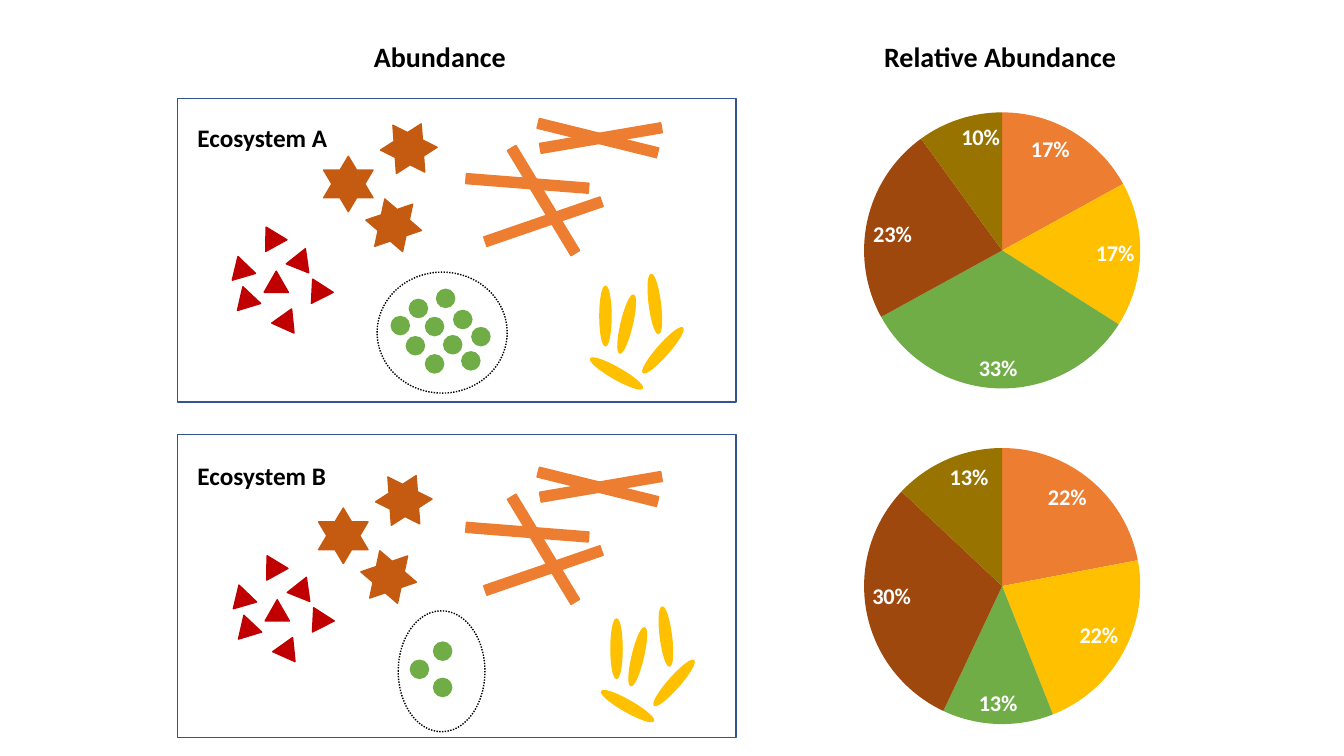
from lxml import etree
from pptx import Presentation
from pptx.chart import data
from pptx.dml.color import RGBColor
from pptx.enum import chart as charts, dml, shapes, text
from pptx.util import Inches, Pt

FONT = "Calibri"
BLACK = RGBColor(0x00, 0x00, 0x00)
WHITE = RGBColor(0xFF, 0xFF, 0xFF)
FRAME_BLUE = RGBColor(0x32, 0x54, 0x91)
ORANGE = RGBColor(0xED, 0x7D, 0x31)
GOLD = RGBColor(0xFF, 0xC0, 0x00)
GREEN = RGBColor(0x70, 0xAD, 0x47)
RED = RGBColor(0xC0, 0x00, 0x00)
RUST = RGBColor(0xC5, 0x5A, 0x11)
BROWN = RGBColor(0x9E, 0x48, 0x0E)
OLIVE = RGBColor(0x99, 0x73, 0x00)
SLICE_COLORS = (ORANGE, GOLD, GREEN, BROWN, OLIVE)

KIND = shapes.MSO_SHAPE
# species: preset shape, colour, (width, height)
SPECIES = {
    "rod": (KIND.RECTANGLE, ORANGE, (1.22, 0.1)),
    "coccus": (KIND.OVAL, GREEN, (0.18, 0.18)),
    "bacillus": (KIND.OVAL, GOLD, (0.11, 0.59)),
    "triangle": (KIND.ISOSCELES_TRIANGLE, RED, (0.24, 0.21)),
    "star": (KIND.STAR_6_POINT, RUST, (0.49, 0.55)),
}
# members of each colony: left, top, rotation
RODS = [(5.32, 1.32, 13.9), (5.35, 1.32, 350.3), (4.62, 1.77, 4.5),
        (4.78, 2.15, 341), (4.78, 1.94, 58.8)]
BACILLI = [(5.95, 2.84, 0), (6.16, 2.92, 13.3), (6.44, 2.72, 352.9),
           (6.06, 3.41, 299.7), (6.52, 3.18, 41.4)]
TRIANGLES = [(2.27, 2.54, 343.7), (2.57, 2.24, 331.1), (2.62, 2.69, 0),
             (2.87, 2.46, 21.8), (2.32, 2.84, 343.1), (3.08, 2.79, 93),
             (2.68, 3.09, 264.3)]
STARS = [(3.21, 1.55, 0), (3.66, 1.96, 341.3), (3.81, 1.2, 26.5)]
COCCI_A = [(4.06, 2.97, 0), (4.33, 2.87, 0), (3.88, 3.14, 0), (4.22, 3.15, 0),
           (4.03, 3.34, 0), (4.5, 3.08, 0), (4.4, 3.33, 0), (4.22, 3.52, 0),
           (4.68, 3.25, 0), (4.58, 3.49, 0)]
COCCI_B = [(4.3, 6.37, 0), (4.07, 6.55, 0), (4.3, 6.73, 0)]

# colonies: species, members, (shift right, shift down)
ECOSYSTEMS = [
    {"name": "Ecosystem A", "name_top": 1.16, "top": 0.98,
     "shares": (17, 17, 33, 23, 10), "ring": (3.74, 2.7, 1.29, 1.2),
     "colonies": [("rod", RODS, (0, 0)), ("coccus", COCCI_A, (0, 0)),
                  ("bacillus", BACILLI, (0, 0)),
                  ("triangle", TRIANGLES, (0, 0)), ("star", STARS, (0, 0))]},
    {"name": "Ecosystem B", "name_top": 4.52, "top": 4.31,
     "shares": (22, 22, 13, 30, 13), "ring": (3.95, 6.06, 0.86, 1.2),
     "colonies": [("coccus", COCCI_B, (0, 0)), ("bacillus", BACILLI, (0.11, 3.3)),
                  ("triangle", TRIANGLES, (0.01, 3.26)),
                  ("star", STARS, (-0.05, 3.49)), ("rod", RODS, (0, 3.46))]},
]
HEADINGS = [("Abundance", 3.61, 1.61), ("Relative Abundance", 8.67, 2.52)]

FRAME_LEFT, FRAME_WIDTH, PANEL_HEIGHT = 1.76, 5.54, 3.01
CHART_LEFT, CHART_WIDTH, PIE_SIZE = 7.3, 5.28, 2.74


def add_outline(group, kind, bounds, line_color, fill_color=None, turn=0):
    """Add a preset shape to a group, filled only if a fill is given."""
    shape = group.shapes.add_shape(kind, *map(Inches, bounds))
    shape.shadow.inherit = False
    shape.rotation = turn
    if fill_color is None:
        shape.fill.background()
    else:
        shape.fill.solid()
        shape.fill.fore_color.rgb = fill_color
    shape.line.color.rgb = line_color
    shape.line.width = Pt(1)
    return shape


def add_habitat(page, eco):
    """Draw the framed panel with all its colonies as one group."""
    group = page.shapes.add_group_shape()
    frame = (FRAME_LEFT, eco["top"], FRAME_WIDTH, PANEL_HEIGHT)
    add_outline(group, KIND.RECTANGLE, frame, FRAME_BLUE)
    for species, members, (right, down) in eco["colonies"]:
        kind, color, size = SPECIES[species]
        for left, top, turn in members:
            bounds = (left + right, top + down, *size)
            add_outline(group, kind, bounds, color, color, turn)
    ring = add_outline(group, KIND.OVAL, eco["ring"], BLACK)
    ring.line.dash_style = dml.MSO_LINE.ROUND_DOT


def fix_pie_size(chart):
    """Centre the pie in its frame at a fixed diameter."""
    plot_area = chart.plots[0]._element.getparent()
    namespace = etree.QName(plot_area).namespace
    for old in plot_area.findall(f"{{{namespace}}}layout"):
        plot_area.remove(old)
    layout = etree.Element(f"{{{namespace}}}layout")
    manual = etree.SubElement(layout, f"{{{namespace}}}manualLayout")
    width, height = PIE_SIZE / CHART_WIDTH, PIE_SIZE / PANEL_HEIGHT
    settings = [("layoutTarget", "inner"), ("xMode", "edge"), ("yMode", "edge"),
                ("x", (1 - width) / 2), ("y", (1 - height) / 2),
                ("w", width), ("h", height)]
    for tag, value in settings:
        etree.SubElement(manual, f"{{{namespace}}}{tag}").set("val", str(value))
    plot_area.insert(0, layout)


def add_pie(page, eco):
    """Add the pie chart of relative abundance."""
    table = data.CategoryChartData()
    table.categories = ["1", "2", "3", "4", "5"]
    table.add_series("Series 1", eco["shares"])
    bounds = (CHART_LEFT, eco["top"], CHART_WIDTH, PANEL_HEIGHT)
    chart = page.shapes.add_chart(
        charts.XL_CHART_TYPE.PIE, *map(Inches, bounds), table).chart
    chart.has_title = False
    chart.has_legend = False
    chart.font.name, chart.font.size = FONT, Pt(10)
    chart.font.color.rgb = BLACK
    plot = chart.plots[0]
    plot.vary_by_categories = True
    for index, color in enumerate(SLICE_COLORS):
        slice_format = plot.series[0].points[index].format
        slice_format.fill.solid()
        slice_format.fill.fore_color.rgb = color
        slice_format.line.fill.background()
    labels = plot.series[0].data_labels
    labels.show_percentage = True
    labels.show_value = False
    labels.number_format, labels.number_format_is_linked = "0%", False
    labels.position = charts.XL_LABEL_POSITION.INSIDE_END
    labels.font.name, labels.font.size, labels.font.bold = FONT, Pt(16), True
    labels.font.color.rgb = WHITE
    fix_pie_size(chart)


def add_label(page, words, bounds, size):
    """Add a bold one-line text box."""
    box = page.shapes.add_textbox(*map(Inches, bounds))
    box.text_frame.auto_size = text.MSO_AUTO_SIZE.SHAPE_TO_FIT_TEXT
    box.text_frame.word_wrap = False
    para = box.text_frame.paragraphs[0]
    para.text = words
    para.font.name, para.font.size, para.font.bold = FONT, Pt(size), True
    para.font.color.rgb = BLACK


deck = Presentation()
deck.slide_width, deck.slide_height = Inches(13.33), Inches(7.5)
page = deck.slides.add_slide(deck.slide_layouts[6])
for ecosystem in ECOSYSTEMS:
    add_habitat(page, ecosystem)
    add_pie(page, ecosystem)
    add_label(page, ecosystem["name"], (1.86, ecosystem["name_top"], 1.55, 0.41), 18)
for heading, left, width in HEADINGS:
    add_label(page, heading, (left, 0.34, width, 0.44), 20)
deck.save("out.pptx")
